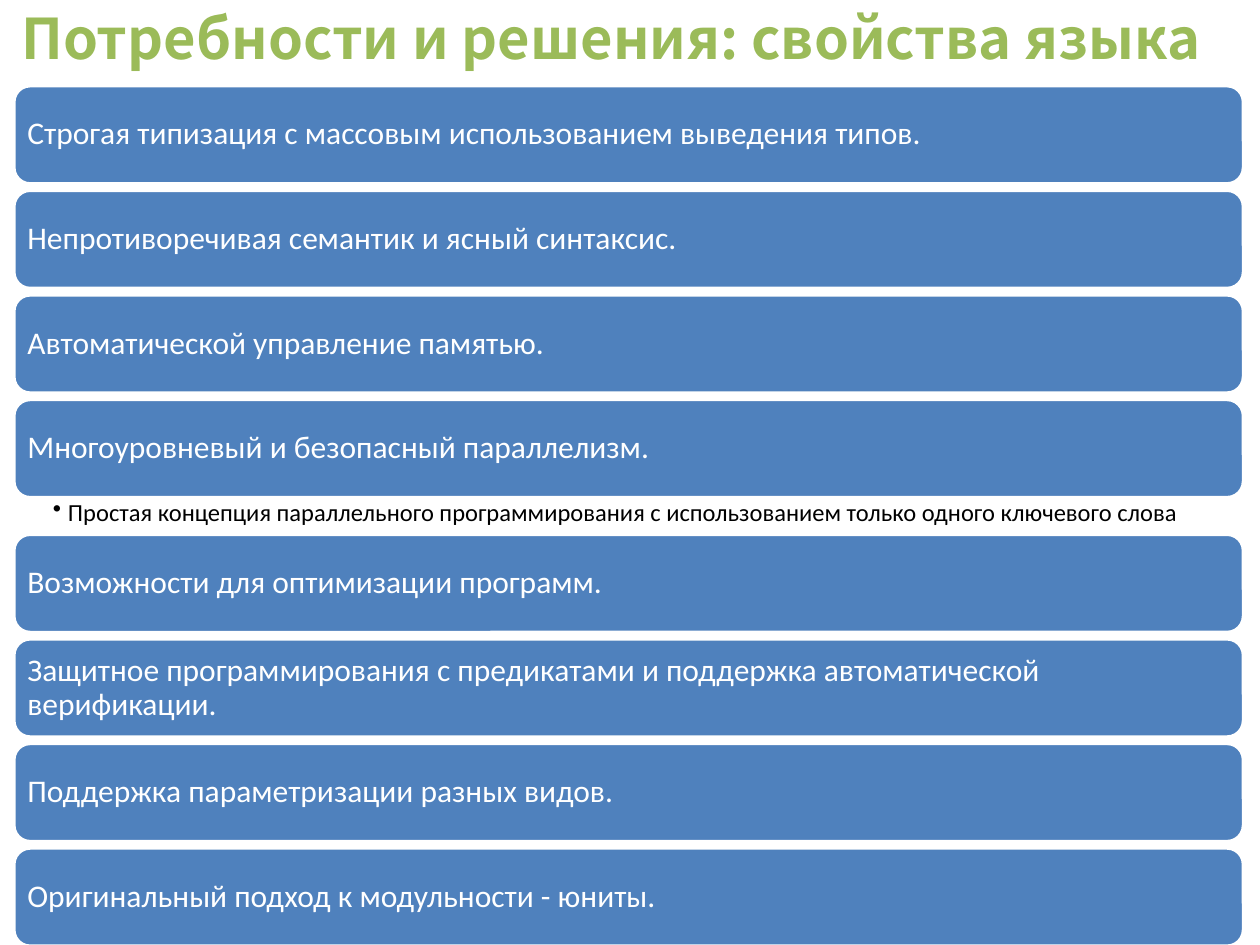
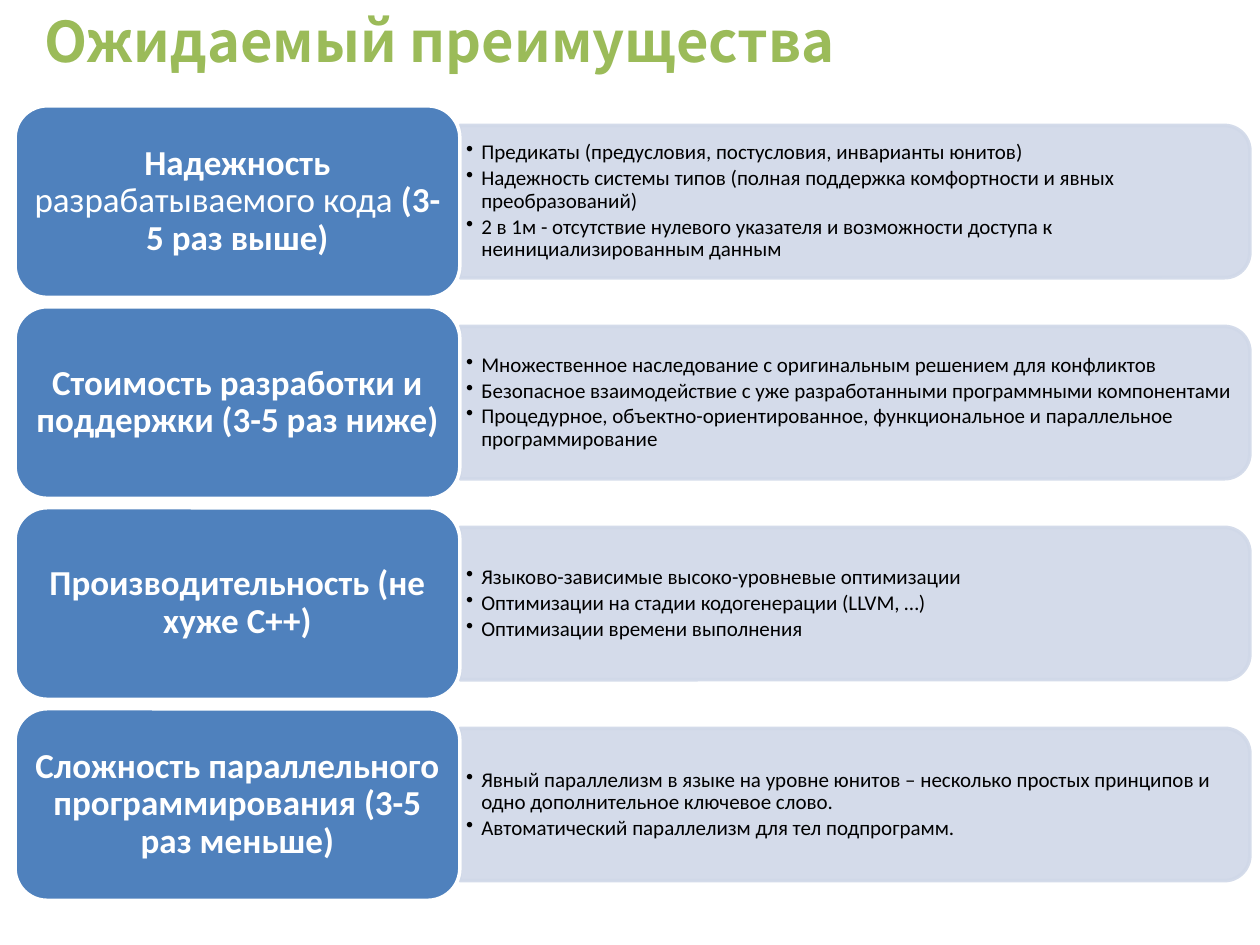
from dataclasses import dataclass

from lxml.etree import SubElement
from pptx import Presentation
from pptx.dml.color import RGBColor
from pptx.enum.shapes import MSO_SHAPE
from pptx.enum.text import MSO_ANCHOR, MSO_AUTO_SIZE, PP_ALIGN
from pptx.oxml.ns import qn
from pptx.shapes.autoshape import Shape
from pptx.slide import Slide
from pptx.text.text import TextFrame
from pptx.util import Inches, Pt


@dataclass(frozen=True)
class Theme:
    title_font: str = "Noto Sans CJK KR"
    body_font: str = "Calibri"
    title_color: RGBColor = RGBColor(0x9B, 0xBB, 0x59)
    bar_color: RGBColor = RGBColor(0x4F, 0x81, 0xBD)
    panel_color: RGBColor = RGBColor(0xD0, 0xD8, 0xE8)
    light: RGBColor = RGBColor(0xFF, 0xFF, 0xFF)
    dark: RGBColor = RGBColor(0, 0, 0)
    title_size: Pt = Pt(32)
    label_size: Pt = Pt(20)
    bar_size: Pt = Pt(18)
    note_size: Pt = Pt(14)
    list_size: Pt = Pt(12)
    outline: Pt = Pt(2)
    list_gap: Pt = Pt(1.8)
    line_spacing: float = 0.9
    panel_opacity: int = 90


@dataclass(frozen=True)
class Area:
    column: float
    row: float
    columns: float
    rows: float

    def lengths(self) -> tuple[int, int, int, int]:
        return (
            round(self.column * COLUMN),
            round(self.row * ROW),
            round(self.columns * COLUMN),
            round(self.rows * ROW),
        )


@dataclass(frozen=True)
class Insets:
    left: float
    top: float
    right: float
    bottom: float


@dataclass(frozen=True)
class Span:
    text: str
    bold: bool = True


@dataclass(frozen=True)
class Property:
    text: str
    note: str = ""


@dataclass(frozen=True)
class Benefit:
    label: tuple[Span, ...]
    points: tuple[str, ...]


THEME = Theme()
deck = Presentation()
deck.slide_width, deck.slide_height = Inches(10), Inches(7.5)
COLUMN = deck.slide_width / 100
ROW = deck.slide_height / 75

BAR_ROWS, BAR_PITCH, NOTE_ROWS = 7.8, 8.3, 2.9
LABEL_ROWS, LABEL_PITCH, LABEL_COLUMNS = 15.2, 15.95, 35.3
PANEL_ROWS, PANEL_COLUMNS, LIST_ROWS = 12.1, 62.7, 10.9

PROPERTIES = (
    Property("Строгая типизация с массовым использованием выведения типов."),
    Property("Непротиворечивая семантик и ясный синтаксис."),
    Property("Автоматической управление памятью."),
    Property(
        "Многоуровневый и безопасный параллелизм.",
        "Простая концепция параллельного программирования "
        "с использованием только одного ключевого слова",
    ),
    Property("Возможности для оптимизации программ."),
    Property("Защитное программирования с предикатами и поддержка автоматической верификации."),
    Property("Поддержка параметризации разных видов."),
    Property("Оригинальный подход к модульности - юниты."),
)

BENEFITS = (
    Benefit(
        (
            Span("Надежность "),
            Span("разрабатываемого кода ", bold=False),
            Span("(3-5 раз выше)"),
        ),
        (
            "Предикаты (предусловия, постусловия, инварианты юнитов)",
            "Надежность системы типов (полная поддержка комфортности и явных преобразований)",
            "2 в 1м - отсутствие нулевого указателя и возможности доступа "
            "к неинициализированным данным",
        ),
    ),
    Benefit(
        (Span("Стоимость разработки и поддержки (3-5 раз ниже)"),),
        (
            "Множественное наследование с оригинальным решением для конфликтов",
            "Безопасное взаимодействие с уже разработанными программными компонентами",
            "Процедурное, объектно-ориентированное, функциональное "
            "и параллельное программирование",
        ),
    ),
    Benefit(
        (Span("Производительность (не хуже C++)"),),
        (
            "Языково-зависимые высоко-уровневые оптимизации",
            "Оптимизации на стадии кодогенерации (LLVM, …)",
            "Оптимизации времени выполнения",
        ),
    ),
    Benefit(
        (Span("Сложность параллельного программирования (3-5 раз меньше)"),),
        (
            "Явный параллелизм в языке на уровне юнитов – несколько простых принципов "
            "и одно дополнительное ключевое слово.",
            "Автоматический параллелизм для тел подпрограмм.",
        ),
    ),
)


def place(shape: Shape, area: Area) -> None:
    shape.left, shape.top, shape.width, shape.height = area.lengths()


def set_frame(frame: TextFrame, insets: Insets, anchor: MSO_ANCHOR) -> None:
    frame.word_wrap = True
    frame.vertical_anchor = anchor
    frame.margin_left = Inches(insets.left)
    frame.margin_top = Inches(insets.top)
    frame.margin_right = Inches(insets.right)
    frame.margin_bottom = Inches(insets.bottom)


def add_titled_slide(text: str, area: Area, insets: Insets, anchor: MSO_ANCHOR) -> Slide:
    page = deck.slides.add_slide(deck.slide_layouts.get_by_name("Title Only"))
    title = page.shapes.title
    place(title, area)
    frame = title.text_frame
    set_frame(frame, insets, anchor)
    frame.auto_size = MSO_AUTO_SIZE.SHAPE_TO_FIT_TEXT
    frame.text = text
    para = frame.paragraphs[0]
    para.alignment = PP_ALIGN.LEFT
    para.font.name = THEME.title_font
    para.font.size = THEME.title_size
    para.font.bold = True
    para.font.color.rgb = THEME.title_color
    return page


def add_block(
    page: Slide, kind: MSO_SHAPE, area: Area, fill: RGBColor, line: RGBColor
) -> Shape:
    block = page.shapes.add_shape(kind, *area.lengths())
    block.shadow.inherit = False
    block.fill.solid()
    block.fill.fore_color.rgb = fill
    block.line.color.rgb = line
    block.line.width = THEME.outline
    return block


def add_bar(
    page: Slide, area: Area, spans: tuple[Span, ...], size: Pt,
    insets: Insets, alignment: PP_ALIGN,
) -> None:
    bar = add_block(page, MSO_SHAPE.ROUNDED_RECTANGLE, area, THEME.bar_color, THEME.light)
    set_frame(bar.text_frame, insets, MSO_ANCHOR.MIDDLE)
    para = bar.text_frame.paragraphs[0]
    para.alignment = alignment
    para.line_spacing = THEME.line_spacing
    para.font.name = THEME.body_font
    para.font.size = size
    para.font.color.rgb = THEME.light
    for span in spans:
        run = para.add_run()
        run.text = span.text
        run.font.bold = span.bold


def add_bullets(
    page: Slide, area: Area, points: tuple[str, ...], size: Pt,
    insets: Insets, anchor: MSO_ANCHOR,
) -> None:
    box = page.shapes.add_textbox(*area.lengths())
    frame = box.text_frame
    set_frame(frame, insets, anchor)
    frame.text = "\n".join(points)
    for para in frame.paragraphs:
        para.line_spacing = THEME.line_spacing
        para.font.name = THEME.body_font
        para.font.size = size
        para.font.color.rgb = THEME.dark
        if para.text != points[-1]:
            para.space_after = THEME.list_gap
        properties = para._p.get_or_add_pPr()
        properties.set("marL", str(Inches(0.12)))
        properties.set("indent", str(-Inches(0.12)))
        SubElement(properties, qn("a:buChar")).set("char", "•")
        defaults = properties.find(qn("a:defRPr"))
        if defaults is not None:
            properties.append(defaults)


def add_panel(page: Slide, left: float, middle: float) -> None:
    upright = Area(
        left + (PANEL_COLUMNS - PANEL_ROWS) / 2,
        middle - PANEL_COLUMNS / 2,
        PANEL_ROWS,
        PANEL_COLUMNS,
    )
    panel = add_block(
        page, MSO_SHAPE.ROUND_2_SAME_RECTANGLE, upright, THEME.panel_color, THEME.panel_color
    )
    panel.rotation = 90
    for color in panel._element.spPr.iter(qn("a:srgbClr")):
        SubElement(color, qn("a:alpha")).set("val", str(THEME.panel_opacity * 1000))


def build_properties() -> None:
    page = add_titled_slide(
        "Потребности и решения: свойства языка",
        Area(1.7, 0.3, 97.2, 5.9), Insets(0, 0, 0.1, 0.05), MSO_ANCHOR.TOP,
    )
    left, width, row = 1.1, 97.6, 6.8
    for item in PROPERTIES:
        add_bar(
            page, Area(left, row, width, BAR_ROWS), (Span(item.text, bold=False),),
            THEME.bar_size, Insets(0.07, 0.07, 0.07, 0.07), PP_ALIGN.LEFT,
        )
        row += BAR_PITCH
        if item.note:
            note_row = row - BAR_PITCH + BAR_ROWS
            add_bullets(
                page, Area(left, note_row, width, NOTE_ROWS), (item.note,),
                THEME.note_size, Insets(0.31, 0.02, 0.11, 0.02), MSO_ANCHOR.TOP,
            )
            row = note_row + NOTE_ROWS


def build_benefits() -> None:
    page = add_titled_slide(
        "Ожидаемый преимущества",
        Area(2.5, 0, 86.2, 6.4), Insets(0.1, 0.05, 0.1, 0.05), MSO_ANCHOR.MIDDLE,
    )
    left, top = 1.2, 8.4
    panel_left = left + LABEL_COLUMNS
    for index, benefit in enumerate(BENEFITS):
        row = top + index * LABEL_PITCH
        middle = row + LABEL_ROWS / 2
        add_panel(page, panel_left, middle)
        add_bullets(
            page, Area(panel_left, middle - LIST_ROWS / 2, 62.1, LIST_ROWS), benefit.points,
            THEME.list_size, Insets(0.05, 0.03, 0.05, 0.03), MSO_ANCHOR.MIDDLE,
        )
        add_bar(
            page, Area(left, row, LABEL_COLUMNS, LABEL_ROWS), benefit.label,
            THEME.label_size, Insets(0.08, 0.04, 0.08, 0.04), PP_ALIGN.CENTER,
        )


build_properties()
build_benefits()
deck.save("out.pptx")
